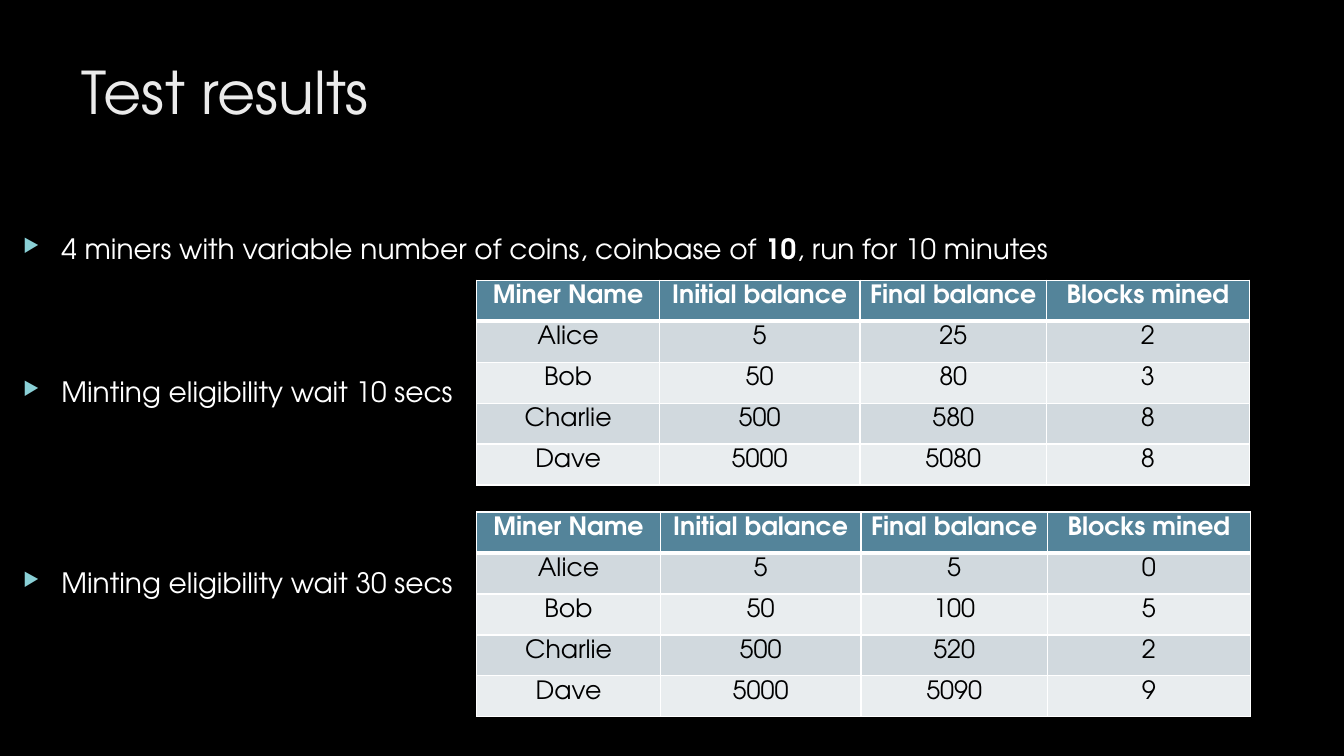
from lxml.etree import SubElement
from pptx import Presentation
from pptx.dml.color import RGBColor
from pptx.enum.text import MSO_ANCHOR as Anchor, PP_ALIGN as Align
from pptx.oxml import parse_xml
from pptx.oxml.ns import nsdecls, qn
from pptx.util import Emu, Inches, Pt

BLACK = RGBColor(0x00, 0x00, 0x00)
WHITE = RGBColor(0xFF, 0xFF, 0xFF)
PALE = RGBColor(0xEB, 0xEB, 0xEB)
AQUA = RGBColor(0x8A, 0xD0, 0xD6)
TEAL = RGBColor(0x54, 0x84, 0x9A)
BANDS = RGBColor(0xE9, 0xED, 0xEF), RGBColor(0xD1, 0xD9, 0xDE)

HEAD = ["Miner Name", "Initial balance", "Final balance", "Blocks mined"]
MINERS = {"Alice": 5, "Bob": 50, "Charlie": 500, "Dave": 5000}
# Final balance and blocks mined, miner by miner
SHORT = [(25, 2), (80, 3), (580, 8), (5080, 8)]
LONG = [(5, 0), (100, 5), (520, 2), (5090, 9)]


def write(para, text, size=18, color=WHITE, bold=False, align=Align.LEFT,
          font="TeX Gyre Adventor"):
    """Add a run of formatted text to a paragraph."""
    para.alignment = align
    run = para.add_run()
    run.text = text
    style = run.font
    style.name, style.size, style.bold = font, Pt(size), bold
    style.color.rgb = color


def bullet(para, indent=0.38, share=66):
    """Give a paragraph a hanging triangle, sized in percent of the text."""
    props = para._p.get_or_add_pPr()
    props.set("marL", str(Inches(indent)))
    props.set("indent", str(-Inches(indent)))
    tint = SubElement(props, qn("a:buClr"))
    SubElement(tint, qn("a:srgbClr"), val=str(AQUA))
    SubElement(props, qn("a:buSzPct"), val=str(share * 1000))
    SubElement(props, qn("a:buChar"), char="\u25b6")


def border(cell, **widths):
    """Draw white cell edges; widths are points for L, R, T and B."""
    props = cell._tc.get_or_add_tcPr()
    for spot, (side, width) in enumerate(widths.items()):
        props.insert(spot, parse_xml(
            f'<a:ln{side} {nsdecls("a")} w="{Pt(width)}"><a:solidFill>'
            f'<a:srgbClr val="{WHITE}"/></a:solidFill></a:ln{side}>'))


class Deck:
    """Hold the style and the current slide; lengths are percents of it."""

    def __init__(self):
        """Open a wide deck with one black slide."""
        self.show = Presentation()
        self.show.slide_width = Inches(13.33)
        self.show.slide_height = Inches(7.5)
        self.slide = self.show.slides.add_slide(self.show.slide_layouts[6])
        fill = self.slide.background.fill
        fill.solid()
        fill.fore_color.rgb = BLACK

    def wide(self, share):
        """Turn a percent of the width into a length."""
        return Emu(round(self.show.slide_width * share / 100))

    def high(self, share):
        """Turn a percent of the height into a length."""
        return Emu(round(self.show.slide_height * share / 100))

    def box(self, left, top, width, height):
        """Add a wrapping text box and return its frame."""
        frame = self.slide.shapes.add_textbox(
            self.wide(left), self.high(top),
            self.wide(width), self.high(height)).text_frame
        frame.word_wrap = True
        frame.vertical_anchor = Anchor.TOP
        return frame

    def title(self, text):
        """Add the slide title."""
        frame = self.box(5.33, 6.67, 77.2, 20.4)
        write(frame.paragraphs[0], text, size=42, color=PALE)

    def points(self, items, line=34):
        """Add bullets, each given as free lines above it and its runs."""
        frame = self.box(0.98, 30, 96.85, 61.2)
        for spot, (free, runs) in enumerate(items):
            para = frame.add_paragraph() if spot else frame.paragraphs[0]
            para.space_before = Pt(10 + free * line)
            bullet(para)
            for text, bold in runs:
                write(para, text, size=20, bold=bold)

    def table(self, top, first, results, row=5.42):
        """Add a table of miners; first is the width of the name column."""
        rows = [HEAD] + [(name, start, *end) for (name, start), end
                         in zip(MINERS.items(), results)]
        cols = [first, 14.93, 13.88, 15.08]
        grid = self.slide.shapes.add_table(
            len(rows), len(cols), self.wide(35.48), self.high(top),
            self.wide(sum(cols)), self.high(row * len(rows))).table
        grid.horz_banding = False
        for col, width in zip(grid.columns, cols):
            col.width = self.wide(width)
        for i, values in enumerate(rows):
            grid.rows[i].height = self.high(row)
            for j, value in enumerate(values):
                self.cell(grid.cell(i, j), str(value), i)

    def cell(self, cell, text, row):
        """Fill, edge and write one table cell."""
        head = row == 0
        cell.margin_left = cell.margin_right = Inches(0.05)
        cell.margin_top = cell.margin_bottom = Inches(0.05)
        cell.vertical_anchor = Anchor.TOP
        cell.fill.solid()
        cell.fill.fore_color.rgb = TEAL if head else BANDS[row % 2]
        border(cell, L=1, R=1, T=3 if row == 1 else 1, B=3 if head else 1)
        write(cell.text_frame.paragraphs[0], text, bold=head,
              color=WHITE if head else BLACK, align=Align.CENTER)


deck = Deck()
deck.title("Test results")
deck.points([
    (0, [("4 miners with variable number of coins, coinbase of ", False),
         ("10", True), (", run for 10 minutes", False)]),
    (2, [("Minting eligibility wait 10 secs", False)]),
    (3, [("Minting eligibility wait 30 secs", False)]),
])
deck.table(37.07, 13.58, SHORT)
deck.table(67.73, 13.65, LONG)
deck.show.save("out.pptx")
